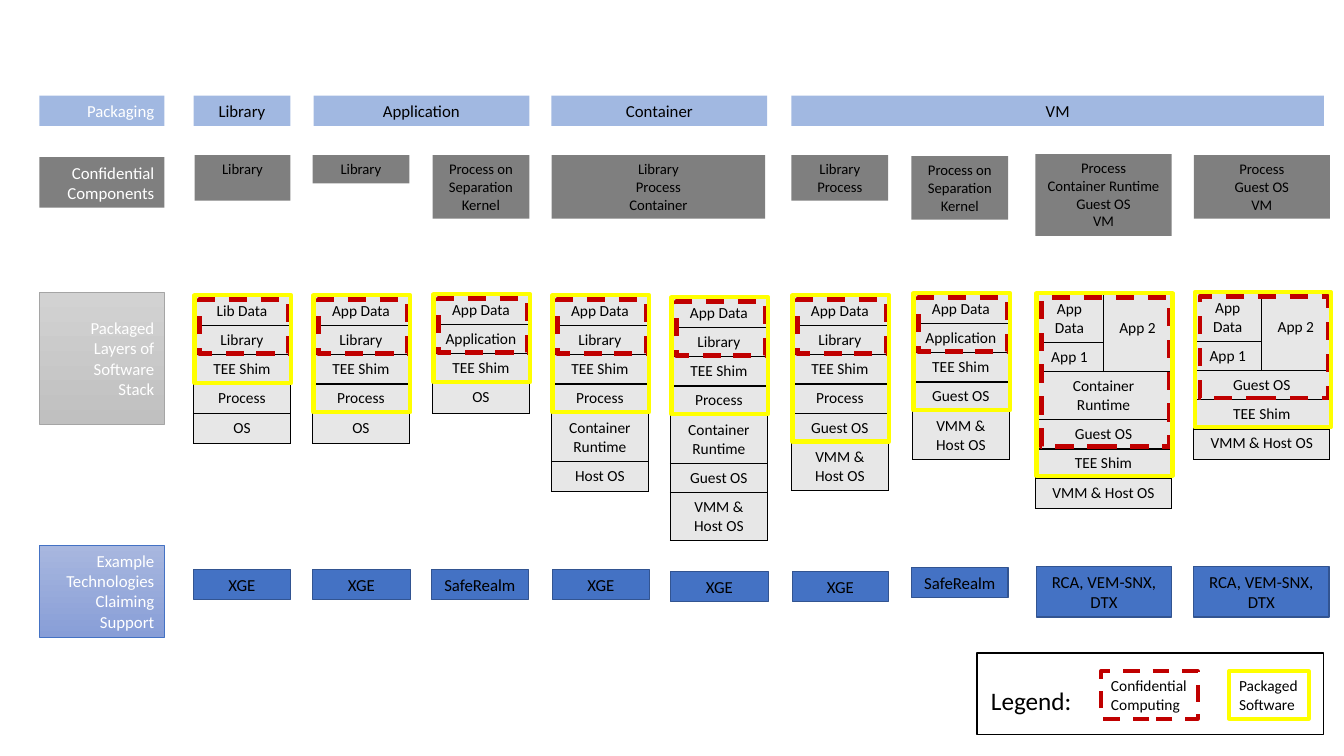
from lxml.etree import SubElement
from pptx import Presentation
from pptx.dml.color import RGBColor
from pptx.enum.dml import MSO_LINE
from pptx.enum.shapes import MSO_SHAPE
from pptx.enum.text import MSO_ANCHOR, PP_ALIGN
from pptx.oxml.ns import qn
from pptx.util import Inches, Pt

COLORS = {
    "blue": "4472C4", "navy": "325491", "black": "000000", "white": "FFFFFF",
    "layer": "E7E7E7", "packaged": "FFFF00", "confidential": "C00000",
    "gray_line": "A5A5A5", "gray_top": "D2D2D2", "gray_bottom": "C0C0C0",
    "blue_top": "A8B7DF", "blue_bottom": "889ED7",
}
FONT = "Calibri"
ONE_LINE, LAST_LINE, TWO_LINES = 0.29, 0.3, 0.47
TWO_LINE_LAYERS = {"App Data|App 2", "Container\nRuntime", "Container Runtime"}

LABELS = [
    ("Packaging", 0.95, 0.3, "blue", None, None),
    ("Confidential\nComponents", 1.56, 0.5, "black", None, None),
    ("Packaged Layers of\nSoftware\nStack", 2.9, 1.31, None,
     ("gray_top", "gray_bottom"), "gray_line"),
    ("Example Technologies\nClaiming\nSupport", 5.41, 0.91, None,
     ("blue_top", "blue_bottom"), "blue"),
]
PACKAGING = [("Library", 1.92, 0.96), ("Application", 3.11, 2.14),
             ("Container", 5.47, 2.14), ("VM", 7.85, 5.28)]
COMPONENTS = [
    ("Library", 1.93, 1.54, 0.95, 0.45),
    ("Library", 3.1, 1.54, 0.96, 0.28),
    ("Process on Separation Kernel", 4.29, 1.54, 0.96, 0.63),
    ("Library\nProcess\nContainer", 5.47, 1.54, 2.12, 0.63),
    ("Library\nProcess", 7.85, 1.54, 0.96, 0.45),
    ("Process on Separation Kernel", 9.04, 1.55, 0.96, 0.63),
    ("Process\nContainer Runtime\nGuest OS\nVM", 10.27, 1.53, 1.35, 0.81),
    ("Process\nGuest OS\nVM", 11.84, 1.54, 1.35, 0.63),
]
LIBRARY_APP = ["App Data", "Library", "TEE Shim", "Process"]
PLAIN_APP = ["App Data", "Application", "TEE Shim"]
APP_PAIR = ["App Data|App 2", "App 1"]
STACKS = [
    (1.92, 2.94, 0.96, ["Lib Data"] + LIBRARY_APP[1:] + ["OS"], 2, 3),
    (3.1, 2.94, 0.96, LIBRARY_APP + ["OS"], 2, 4),
    (4.29, 2.93, 0.96, PLAIN_APP + ["OS"], 2, 3),
    (5.47, 2.94, 0.96, LIBRARY_APP + ["Container\nRuntime", "Host OS"], 2, 4),
    (6.65, 2.96, 0.96,
     LIBRARY_APP + ["Container Runtime", "Guest OS", "VMM & Host OS"], 2, 4),
    (7.85, 2.94, 0.96, LIBRARY_APP + ["Guest OS", "VMM &\nHost OS"], 2, 5),
    (9.05, 2.92, 0.96, PLAIN_APP + ["Guest OS", "VMM & Host OS"], 2, 4),
    (10.27, 2.92, 1.35,
     APP_PAIR + ["Container Runtime", "Guest OS", "TEE Shim", "VMM & Host OS"], 4, 5),
    (11.84, 2.91, 1.35, APP_PAIR + ["Guest OS", "TEE Shim", "VMM & Host OS"], 3, 4),
]
TECHNOLOGIES = [
    ("XGE", 1.92, 5.65, 0.96, 0.3), ("XGE", 3.1, 5.65, 0.97, 0.3),
    ("SafeRealm", 4.28, 5.65, 0.96, 0.3), ("XGE", 5.48, 5.65, 0.96, 0.3),
    ("XGE", 6.65, 5.67, 0.97, 0.3), ("XGE", 7.86, 5.67, 0.95, 0.3),
    ("SafeRealm", 9.04, 5.63, 0.96, 0.3),
    ("RCA, VEM-SNX, DTX", 10.28, 5.62, 1.34, 0.5),
    ("RCA, VEM-SNX, DTX", 11.84, 5.62, 1.34, 0.5),
]


def rgb(color):
    return RGBColor.from_string(COLORS[color])


def write(frame, text, size, color="black", align=PP_ALIGN.CENTER):
    for index, line in enumerate(text.split("\n")):
        paragraph = frame.add_paragraph() if index else frame.paragraphs[0]
        paragraph.text = line
        paragraph.alignment = align
        paragraph.font.size = Pt(size)
        paragraph.font.name = FONT
        paragraph.font.color.rgb = rgb(color)


def add_box(slide, box, fill=None, line=None, width=1, translucent=False):
    shape = slide.shapes.add_shape(MSO_SHAPE.RECTANGLE, *map(Inches, box))
    shape.shadow.inherit = False
    if fill:
        shape.fill.solid()
        shape.fill.fore_color.rgb = rgb(fill)
        if translucent:
            tint = shape.fill._xPr.find(qn("a:solidFill"))[0]
            SubElement(tint, qn("a:alpha"), val="50000")
    else:
        shape.fill.background()
    if line:
        shape.line.color.rgb = rgb(line)
        shape.line.width = Pt(width)
    else:
        shape.line.fill.background()
    shape.text_frame.word_wrap = True
    shape.text_frame.vertical_anchor = MSO_ANCHOR.TOP
    return shape


def add_frame(slide, box, kind, width=3):
    frame = add_box(slide, box, line=kind, width=width)
    if kind == "confidential":
        frame.line.dash_style = MSO_LINE.DASH
    return frame


def add_label(slide, box, text, fill, gradient, line):
    label = add_box(slide, box, fill, line, 0.5, translucent=True)
    if gradient:
        label.fill.gradient()
        label.fill.gradient_angle = 270
        for stop, color, position in zip(label.fill.gradient_stops, gradient, (0, 1)):
            stop.color.rgb = rgb(color)
            stop.position = position
    label.text_frame.vertical_anchor = MSO_ANCHOR.MIDDLE
    write(label.text_frame, text, 12, "white", PP_ALIGN.RIGHT)


def style_cell(cell):
    cell.fill.solid()
    cell.fill.fore_color.rgb = rgb("layer")
    properties = cell._tc.get_or_add_tcPr()
    for index, side in enumerate(("a:lnL", "a:lnR", "a:lnT", "a:lnB")):
        border = properties.makeelement(qn(side), {"w": "12700"})
        fill = SubElement(border, qn("a:solidFill"))
        SubElement(fill, qn("a:srgbClr"), val=COLORS["black"])
        properties.insert(index, border)


def layer_height(layer, is_last, narrow):
    if layer in TWO_LINE_LAYERS or (narrow and layer.startswith("VMM")):
        return TWO_LINES
    return LAST_LINE if is_last else ONE_LINE


def add_stack(slide, left, top, width, layers, confidential, packaged):
    paired = "|" in layers[0]
    columns = 2 if paired else 1
    heights = [layer_height(layer, index == len(layers) - 1, not paired)
               for index, layer in enumerate(layers)]
    stack = slide.shapes.add_table(
        len(layers), columns, *map(Inches, (left, top, width, sum(heights)))).table
    stack.first_row = stack.horz_banding = False
    for column in stack.columns:
        column.width = Inches(width / columns)
    for row, height in zip(stack.rows, heights):
        row.height = Inches(height)
        for cell in row.cells:
            style_cell(cell)
    if paired:
        second_app = stack.cell(0, 1)
        second_app.merge(stack.cell(1, 1))
        second_app.vertical_anchor = MSO_ANCHOR.MIDDLE
        second_app.margin_top, second_app.margin_bottom = Inches(0), Inches(0.1)
        for row in range(2, len(layers)):
            stack.cell(row, 0).merge(stack.cell(row, 1))
    for row, layer in enumerate(layers):
        for column, text in enumerate(layer.split("|")):
            write(stack.cell(row, column).text_frame, text, 11)
    add_frame(slide, (left + 0.06, top + 0.03, width - 0.08,
                      sum(heights[:confidential]) - 0.04), "confidential", 3.25)
    add_frame(slide, (left + 0.01, top - 0.01, width, sum(heights[:packaged])), "packaged")


def add_legend(slide, left, top, width, height):
    title = slide.shapes.add_textbox(*map(Inches, (left + 0.04, top + 0.27, 1.01, 0.4)))
    title.text_frame.word_wrap = False
    write(title.text_frame, "Legend:", 18, align=PP_ALIGN.LEFT)
    for text, kind, offset, key_width in (
            ("Confidential\nComputing", "confidential", 1.23, 0.96),
            ("Packaged\nSoftware", "packaged", 2.5, 0.79)):
        key = add_frame(slide, (left + offset, top + 0.18, key_width, 0.47), kind)
        key.text_frame.word_wrap = False
        write(key.text_frame, text, 11, align=PP_ALIGN.LEFT)
    add_box(slide, (left, top, width, height), line="black")


def main():
    deck = Presentation()
    deck.slide_width, deck.slide_height = Inches(13.33), Inches(7.5)
    slide = deck.slides.add_slide(deck.slide_layouts[6])
    for text, top, height, fill, gradient, line in LABELS:
        add_label(slide, (0.39, top, 1.24, height), text, fill, gradient, line)
    for text, left, width in PACKAGING:
        package = add_box(slide, (left, 0.95, width, 0.3), "blue", translucent=True)
        write(package.text_frame, text, 12)
    for text, *box in COMPONENTS:
        component = add_box(slide, box, "black", translucent=True)
        write(component.text_frame, text, 10.5)
    for stack in STACKS:
        add_stack(slide, *stack)
    for text, *box in TECHNOLOGIES:
        technology = add_box(slide, box, "blue", "navy")
        write(technology.text_frame, text, 12)
    add_legend(slide, 9.69, 6.48, 3.44, 0.81)
    deck.save("out.pptx")


if __name__ == "__main__":
    main()
